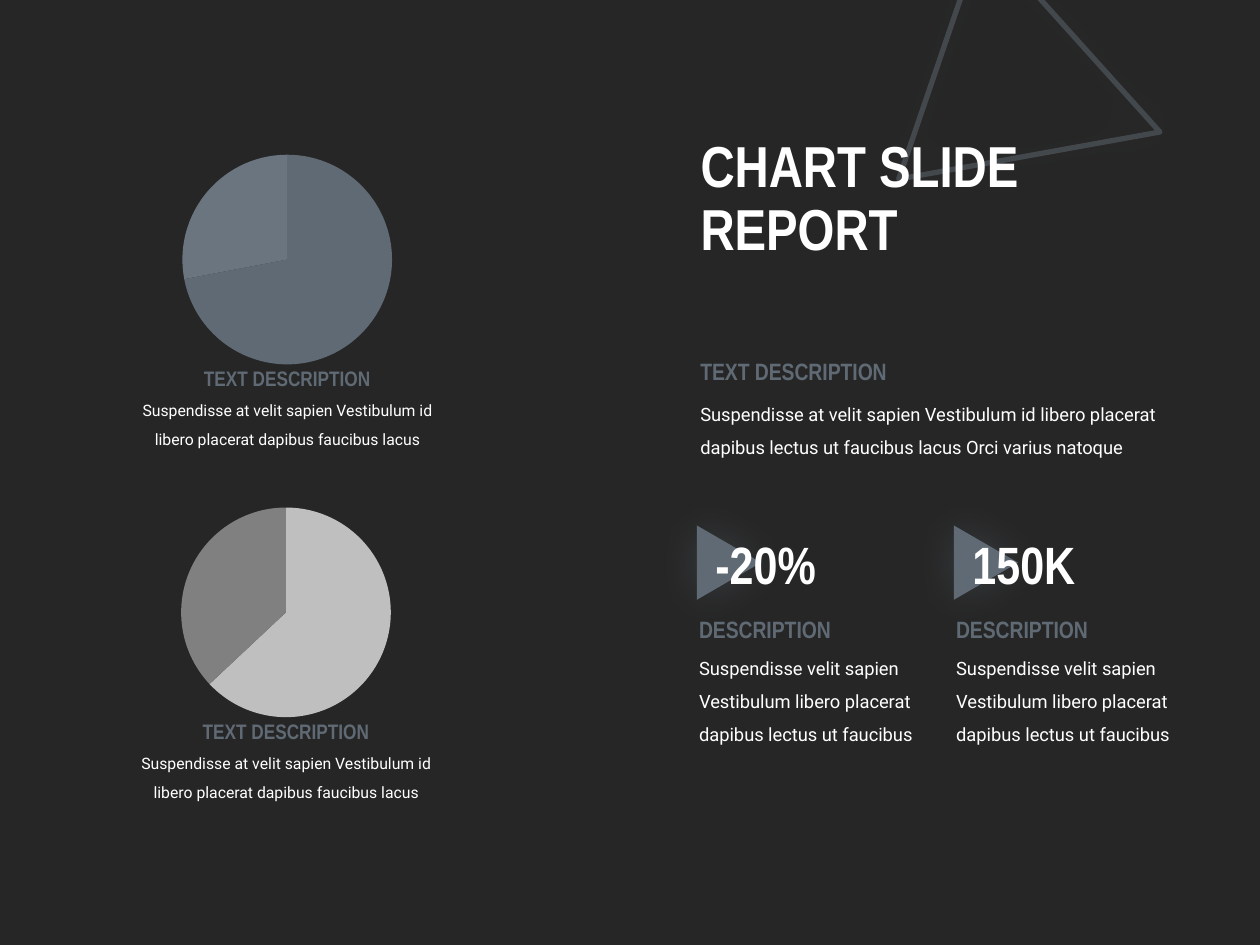
import dataclasses

import lxml.etree
import pptx
import pptx.chart.data
import pptx.dml.color
import pptx.enum.chart
import pptx.enum.shapes
import pptx.enum.text
import pptx.oxml.ns
import pptx.util

Inches = pptx.util.Inches
ALIGN = pptx.enum.text.PP_ALIGN


@dataclasses.dataclass(frozen=True)
class Theme:
    """Colours, fonts and type sizes of the slide."""

    background: str = "262626"
    accent: str = "606A74"
    accent_light: str = "6A757F"
    silver: str = "BFBFBF"
    grey: str = "808080"
    text: str = "FFFFFF"
    heading_font: str = "Arial Narrow"
    body_font: str = "Roboto"
    title_size: float = 33
    number_size: float = 30
    heading_size: float = 13.5
    body_size: float = 10.5
    caption_size: float = 12
    small_size: float = 9
    chart_size: float = 10


THEME = Theme()


def rgb(color):
    """Turn a hex string into a colour."""
    return pptx.dml.color.RGBColor.from_string(color)


def add_child(parent, tag, **attributes):
    """Append a DrawingML element with the given attributes."""
    child = lxml.etree.SubElement(parent, pptx.oxml.ns.qn(tag))
    for name, value in attributes.items():
        child.set(name, str(value))
    return child


def set_opacity(element, percent):
    """Make every plain colour below the element partly transparent."""
    for color in element.iter(pptx.oxml.ns.qn("a:srgbClr")):
        add_child(color, "a:alpha", val=percent * 1000)


def add_glow_shadow(shape):
    """Give the shape a soft, centred accent shadow."""
    effects = shape.element.spPr.find(pptx.oxml.ns.qn("a:effectLst"))
    shadow = add_child(effects, "a:outerShdw", blurRad=pptx.util.Pt(25),
                       dist=0, dir=0, algn="ctr", rotWithShape=0)
    add_child(shadow, "a:srgbClr", val=THEME.accent)
    set_opacity(shadow, 35)


def add_plain_shape(slide, kind, box, fill=None, rotation=0):
    """Add a preset shape with no outline and no inherited shadow."""
    shape = slide.shapes.add_shape(kind, *map(Inches, box))
    shape.shadow.inherit = False
    shape.rotation = rotation
    shape.line.fill.background()
    if fill:
        shape.fill.solid()
        shape.fill.fore_color.rgb = rgb(fill)
    else:
        shape.fill.background()
    return shape


def write_text(frame, text, *, size, font=THEME.body_font, color=THEME.text,
               bold=False, align=ALIGN.LEFT, spacing=1.0):
    """Write one formatted paragraph into a text frame."""
    frame.word_wrap = True
    frame.text = text
    paragraph = frame.paragraphs[0]
    paragraph.alignment = align
    paragraph.line_spacing = spacing
    for run in paragraph.runs:
        run.font.size = pptx.util.Pt(size)
        run.font.name = font
        run.font.bold = bold
        run.font.color.rgb = rgb(color)


def add_text(slide, box, text, **style):
    """Add a text box that grows with its text."""
    frame = slide.shapes.add_textbox(*map(Inches, box)).text_frame
    write_text(frame, text, **style)
    frame.auto_size = pptx.enum.text.MSO_AUTO_SIZE.SHAPE_TO_FIT_TEXT


def add_heading(slide, box, text, size=THEME.heading_size, color=THEME.accent, **style):
    """Add a bold line in the heading font."""
    add_text(slide, box, text, size=size, color=color,
             font=THEME.heading_font, bold=True, **style)


def add_title(slide, box):
    """Place the title over an outlined triangle."""
    left, top, width, height = box
    triangle = add_plain_shape(slide, pptx.enum.shapes.MSO_SHAPE.ISOSCELES_TRIANGLE,
                               (left + 1.85, top - 0.97, 2.05, 1.84), rotation=108.9)
    triangle.line.color.rgb = rgb(THEME.accent)
    triangle.line.width = pptx.util.Pt(3)
    set_opacity(triangle.line._get_or_add_ln(), 50)
    add_glow_shadow(triangle)

    title = slide.shapes.title
    title.element.addprevious(triangle.element)
    title.left, title.top, title.width, title.height = map(Inches, box)
    write_text(title.text_frame, "CHART SLIDE\vREPORT", size=THEME.title_size,
               font=THEME.heading_font, bold=True, spacing=0.9)
    title.text_frame.vertical_anchor = pptx.enum.text.MSO_ANCHOR.MIDDLE
    title.text_frame.auto_size = pptx.enum.text.MSO_AUTO_SIZE.NONE


def add_side_panel(slide, box):
    """Add the translucent panel behind the charts."""
    panel = add_plain_shape(slide, pptx.enum.shapes.MSO_SHAPE.RECTANGLE, box,
                            THEME.background)
    set_opacity(panel.element.spPr, 90)


def add_pie_block(slide, box, values, colors):
    """Add a pie chart with a centred heading and caption below."""
    left, top, width, height = box
    data = pptx.chart.data.CategoryChartData()
    data.categories = ["1", "2"]
    data.add_series("Series 1", values)
    chart = slide.shapes.add_chart(pptx.enum.chart.XL_CHART_TYPE.PIE, Inches(left),
                                   Inches(top), Inches(width), Inches(1.94), data).chart
    chart.has_title = False
    chart.has_legend = False
    chart.font.size = pptx.util.Pt(THEME.chart_size)
    chart.font.name = THEME.body_font
    chart.font.color.rgb = rgb(THEME.text)
    plot = chart.plots[0]
    plot.vary_by_categories = True
    for index, color in enumerate(colors):
        point = plot.series[0].points[index]
        point.format.fill.solid()
        point.format.fill.fore_color.rgb = rgb(color)
        point.format.line.fill.background()

    add_text(slide, (left, top + 1.97, width, height - 1.97),
             "Suspendisse at velit sapien Vestibulum id libero placerat dapibus faucibus lacus",
             size=THEME.small_size, align=ALIGN.CENTER, spacing=1.5)
    add_heading(slide, (left + 0.38, top + 1.76, width - 0.76, 0.3), "TEXT DESCRIPTION",
                size=THEME.caption_size, align=ALIGN.CENTER)


def add_introduction(slide, box):
    """Add the heading and paragraph below the title."""
    left, top, width, height = box
    add_text(slide, (left, top + 0.28, width, height - 0.28),
             "Suspendisse at velit sapien Vestibulum id libero placerat "
             "dapibus lectus ut faucibus lacus Orci varius natoque",
             size=THEME.body_size, spacing=1.5)
    add_heading(slide, (left, top, 1.84, 0.33), "TEXT DESCRIPTION")


def add_metric(slide, box, number):
    """Add a key figure on a triangle with its description."""
    left, top, width, height = box
    triangle = add_plain_shape(slide, pptx.enum.shapes.MSO_SHAPE.ISOSCELES_TRIANGLE,
                               (left + 0.04, top + 0.04, 0.59, 0.51), THEME.accent, 90)
    add_glow_shadow(triangle)
    add_text(slide, (left, top + 0.91, width, height - 0.91),
             "Suspendisse velit sapien Vestibulum libero placerat dapibus lectus ut faucibus",
             size=THEME.body_size, spacing=1.5)
    add_heading(slide, (left, top + 0.66, 1.84, 0.33), "DESCRIPTION")
    add_heading(slide, (left + 0.13, top, 1.34, 0.61), number,
                size=THEME.number_size, color=THEME.text)


def main():
    """Build the chart slide and save it."""
    presentation = pptx.Presentation()
    presentation.slide_width, presentation.slide_height = Inches(10), Inches(7.5)
    slide = presentation.slides.add_slide(presentation.slide_layouts.get_by_name("Title Only"))
    slide.background.fill.solid()
    slide.background.fill.fore_color.rgb = rgb(THEME.background)

    add_title(slide, (5.46, 0.8, 4.22, 1.58))
    add_side_panel(slide, (0, 0.01, 4.55, 7.49))
    add_pie_block(slide, (0.98, 1.09, 2.6, 2.5), (72, 28), (THEME.accent, THEME.accent_light))
    add_pie_block(slide, (0.97, 3.89, 2.6, 2.5), (63, 37), (THEME.silver, THEME.grey))
    add_introduction(slide, (5.46, 2.78, 3.85, 0.88))
    for left, number in ((5.45, "-20%"), (7.49, "150K")):
        add_metric(slide, (left, 4.17, 2.11, 1.78), number)

    presentation.save("out.pptx")


if __name__ == "__main__":
    main()
